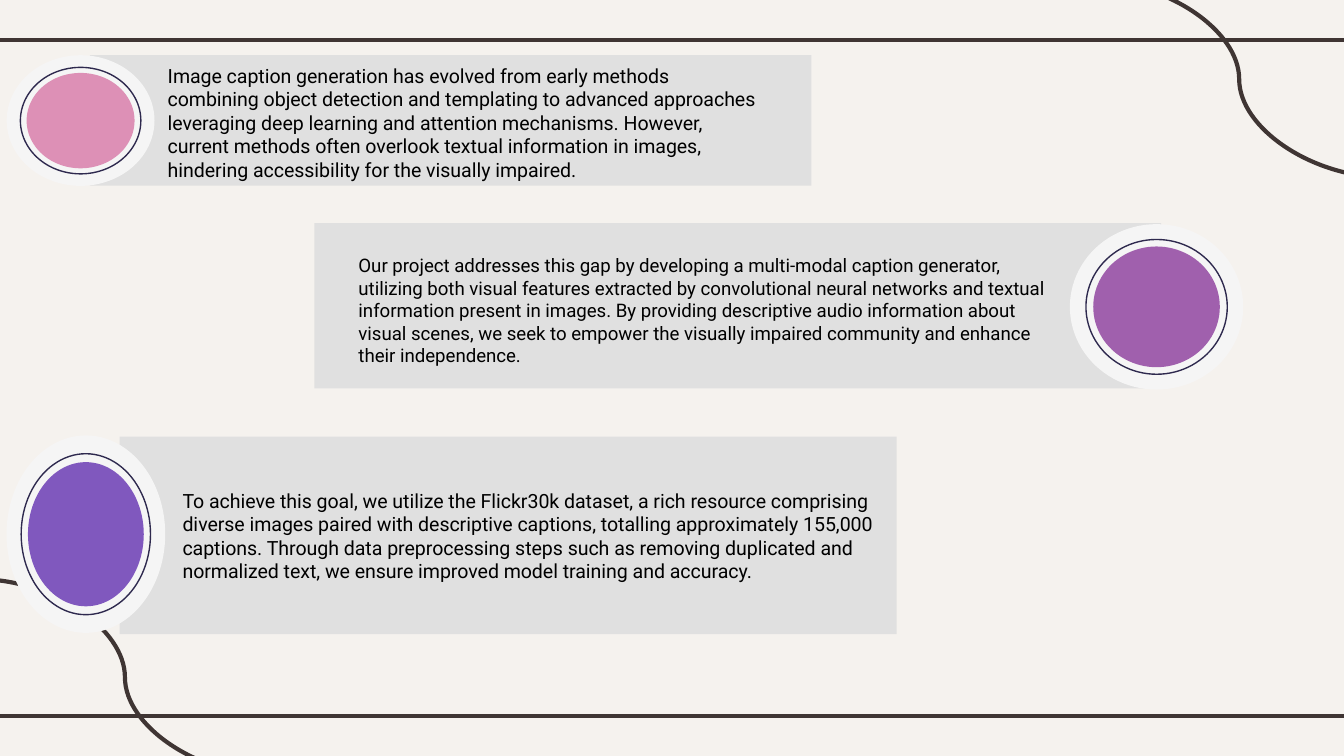
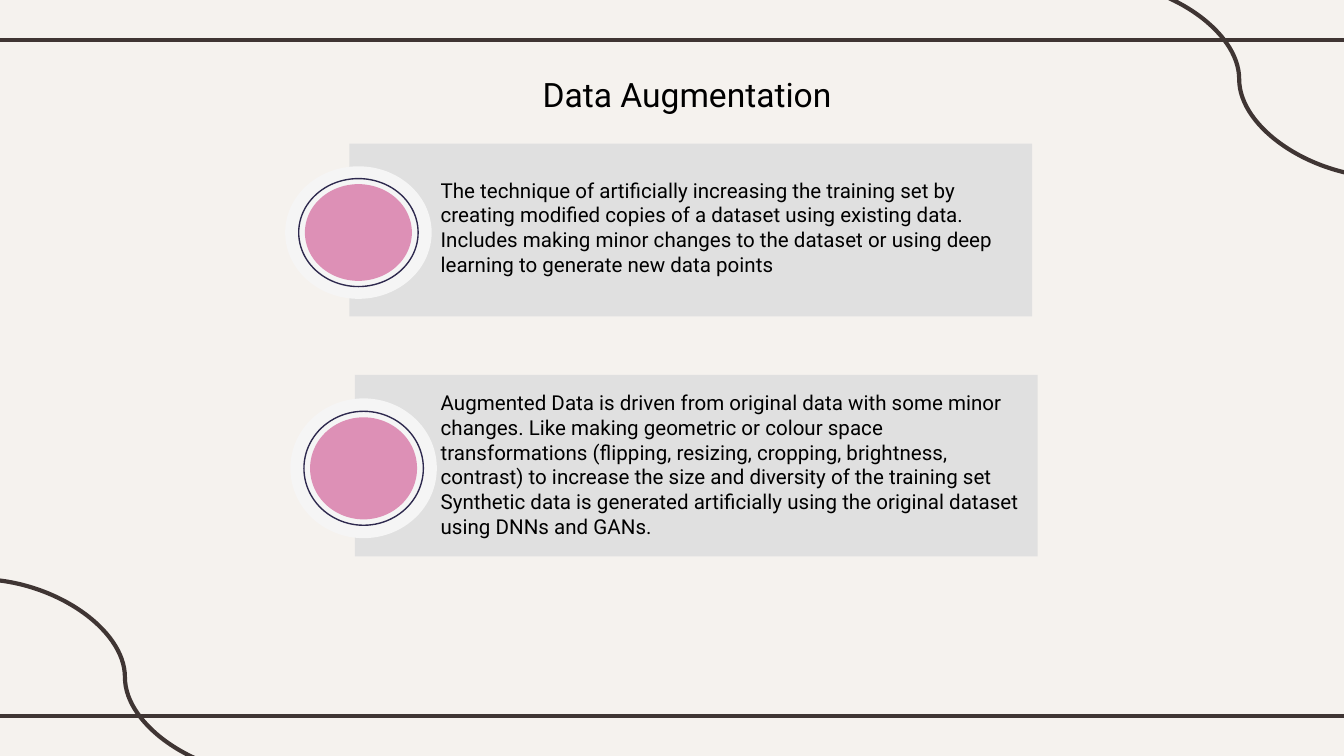
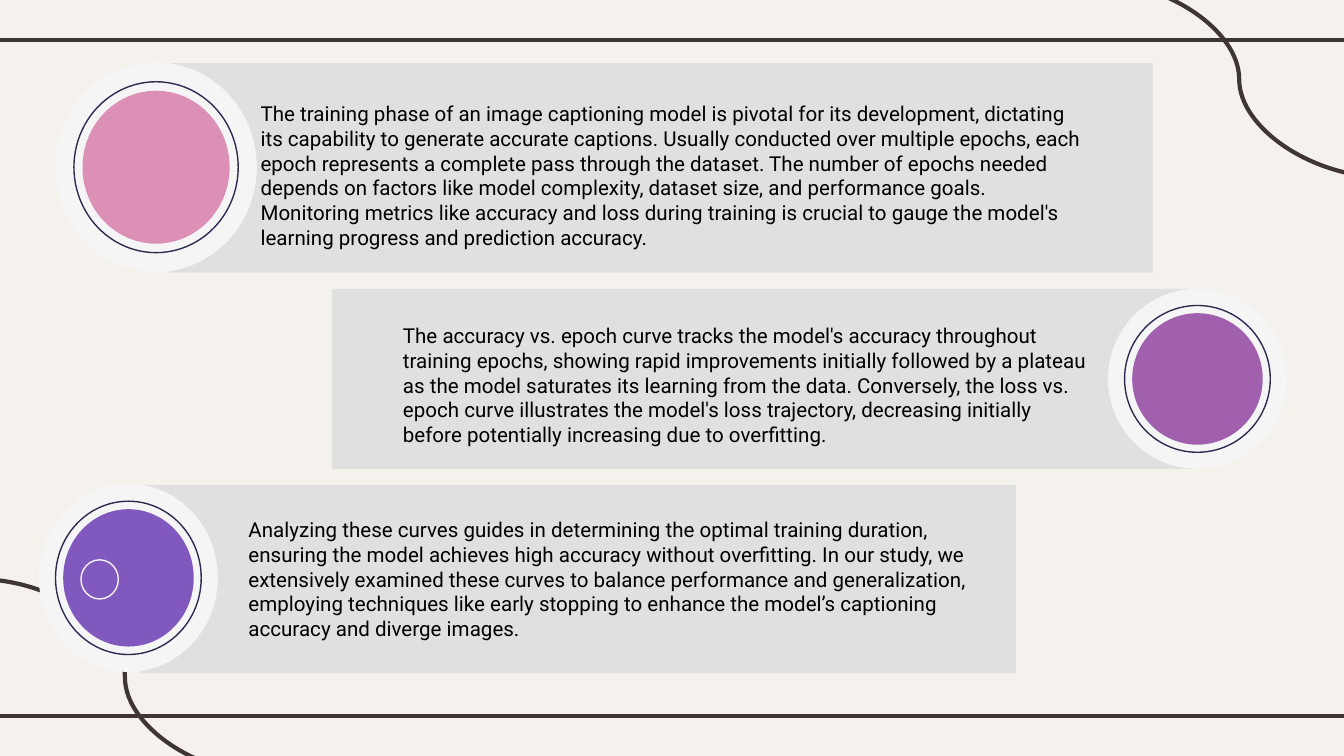
from dataclasses import dataclass
from typing import NamedTuple, Optional

import pptx
import pptx.dml.color
import pptx.enum.shapes
import pptx.enum.text
import pptx.oxml
import pptx.oxml.ns
import pptx.util

Pt = pptx.util.Pt
SHAPE = pptx.enum.shapes.MSO_SHAPE
CONNECTOR = pptx.enum.shapes.MSO_CONNECTOR
ANCHOR = pptx.enum.text.MSO_ANCHOR

COLORS = {
    "paper": "F5F2EE", "stroke": "3F3533", "card": "E0E0E0", "halo": "F5F5F5",
    "ring": "2E294E", "pink": "DD90B6", "plum": "A060AD", "violet": "8058BE",
    "text": "000000",
}
FONT = "Roboto"
INSET = 7.2
LINE_HEIGHT = 1.17
RING_RATIO = 0.815
DISC_RATIO = 0.73


class Box(NamedTuple):
    left: float
    top: float
    width: float
    height: float


class Badge(NamedTuple):
    """Concentric ovals, given by centre and outer size."""
    cx: float
    cy: float
    width: float
    height: float
    color: str

    def oval(self, ratio: float) -> Box:
        w, h = self.width * ratio, self.height * ratio
        return Box(self.cx - w / 2, self.cy - h / 2, w, h)


class Note(NamedTuple):
    """Text centred vertically on cy."""
    left: float
    cy: float
    width: float
    lines: int
    size: float
    paragraphs: tuple[str, ...]

    def box(self) -> Box:
        h = self.lines * self.size * LINE_HEIGHT + 2 * INSET
        return Box(self.left, self.cy - h / 2, self.width, h)


@dataclass
class Card:
    panel: Box
    badge: Badge
    note: Note
    dot: Optional[Box] = None


@dataclass
class Page:
    cards: list[Card]
    title: Optional[str] = None


PAGES = [
    Page([
        Card(Box(48.2, 29.5, 386.6, 70), Badge(43.2, 64.6, 79.2, 70, "pink"),
             Note(82.8, 65.6, 333.4, 5, 10.5, (
                 "Image caption generation has evolved from early methods combining object "
                 "detection and templating to advanced approaches leveraging deep learning and "
                 "attention mechanisms. However, current methods often overlook textual "
                 "information in images, hindering accessibility for the visually impaired.",))),
        Card(Box(168.5, 119.5, 453.6, 88.6), Badge(619.6, 164.4, 92.9, 88.6, "plum"),
             Note(185, 166.3, 383.8, 5, 10, (
                 "Our project addresses this gap by developing a multi-modal caption generator, "
                 "utilizing both visual features extracted by convolutional neural networks and "
                 "textual information present in images. By providing descriptive audio "
                 "information about visual scenes, we seek to empower the visually impaired "
                 "community and enhance their independence.",))),
        Card(Box(64.1, 234, 416.2, 105.8), Badge(46, 286.2, 85, 105.8, "violet"),
             Note(90.7, 286.9, 396.7, 4, 10.5, (
                 "To achieve this goal, we utilize the Flickr30k dataset, a rich resource "
                 "comprising diverse images paired with descriptive captions, totalling "
                 "approximately 155,000 captions. Through data preprocessing steps such as "
                 "removing duplicated and normalized text, we ensure improved model training "
                 "and accuracy.",))),
    ]),
    Page([
        Card(Box(187.2, 77, 365.8, 92.5), Badge(192, 124.6, 78.5, 71, "pink"),
             Note(229, 121.6, 329, 4, 11, (
                 "The technique of artificially increasing the training set by creating modified "
                 "copies of a dataset using existing data. Includes making minor changes to the "
                 "dataset or using deep learning to generate new data points",))),
        Card(Box(190.1, 200.9, 365.8, 97.2), Badge(194.8, 250.9, 78.5, 74.9, "pink"),
             Note(229, 248.8, 329, 6, 11, (
                 "Augmented Data is driven from original data with some minor changes. Like "
                 "making geometric or colour space transformations (flipping, resizing, "
                 "cropping, brightness, contrast) to increase the size and diversity of the "
                 "training set",
                 "Synthetic data is generated artificially using the original dataset using "
                 "DNNs and GANs."))),
    ], title="Data Augmentation"),
    Page([
        Card(Box(90.7, 33.8, 527, 112.3), Badge(83.6, 89.6, 108, 112.3, "pink"),
             Note(132.5, 94, 454.3, 6, 11, (
                 "The training phase of an image captioning model is pivotal for its "
                 "development, dictating its capability to generate accurate captions. Usually "
                 "conducted over multiple epochs, each epoch represents a complete pass through "
                 "the dataset. The number of epochs needed depends on factors like model "
                 "complexity, dataset size, and performance goals. Monitoring metrics like "
                 "accuracy and loss during training is crucial to gauge the model's learning "
                 "progress and prediction accuracy.",))),
        Card(Box(177.8, 154.8, 467.3, 96.5), Badge(641.5, 203, 95.8, 96.5, "plum"),
             Note(208.8, 206.3, 384.5, 5, 11, (
                 "The accuracy vs. epoch curve tracks the model's accuracy throughout training "
                 "epochs, showing rapid improvements initially followed by a plateau as the "
                 "model saturates its learning from the data. Conversely, the loss vs. epoch "
                 "curve illustrates the model's loss trajectory, decreasing initially before "
                 "potentially increasing due to overfitting.",))),
        Card(Box(75.6, 259.9, 468.7, 100.8), Badge(68.8, 309.6, 95.8, 100.8, "violet"),
             Note(126, 310.2, 401.8, 5, 11, (
                 "Analyzing these curves guides in determining the optimal training duration, "
                 "ensuring the model achieves high accuracy without overfitting. In our study, "
                 "we extensively examined these curves to balance performance and "
                 "generalization, employing techniques like early stopping to enhance the "
                 "model’s captioning accuracy and diverge images.",)),
             dot=Box(43.4, 299.9, 20, 21)),
    ]),
]

TITLE_BOX = Box(283.5, 32.4, 232, 36)

# Rules and curves shared by all slides: kind, from, to
STROKES = [
    (CONNECTOR.STRAIGHT, -5.8, 383.8, 725.8, 383.8),
    (CONNECTOR.STRAIGHT, -5.8, 21.6, 725.8, 21.6),
    (CONNECTOR.CURVE, 585.4, -10.1, 742.3, 95),
    (CONNECTOR.CURVE, -11.5, 310.3, 145.4, 415.4),
]


def rgb(name: str) -> pptx.dml.color.RGBColor:
    return pptx.dml.color.RGBColor.from_string(COLORS[name])


def pts(box: Box) -> list[pptx.util.Length]:
    return [Pt(v) for v in box]


def add_figure(shapes, kind, box: Box, fill: str = "", line: str = "") -> None:
    sp = shapes.add_shape(kind, *pts(box))
    sp.shadow.inherit = False
    if fill:
        sp.fill.solid()
        sp.fill.fore_color.rgb = rgb(fill)
    else:
        sp.fill.background()
    if line:
        sp.line.color.rgb = rgb(line)
        sp.line.width = Pt(0.75)
    else:
        sp.line.fill.background()


def write(tf, paragraphs: tuple[str, ...], size: float, anchor) -> None:
    tf.word_wrap = True
    tf.auto_size = pptx.enum.text.MSO_AUTO_SIZE.NONE
    tf.vertical_anchor = anchor
    tf.margin_left = tf.margin_right = tf.margin_top = tf.margin_bottom = Pt(INSET)
    tf.text = "\n".join(paragraphs)
    for p in tf.paragraphs:
        p.alignment = pptx.enum.text.PP_ALIGN.LEFT
        for r in p.runs:
            r.font.name = FONT
            r.font.size = Pt(size)
            r.font.color.rgb = rgb("text")


def add_card(s, card: Card) -> None:
    shapes = s.shapes.add_group_shape().shapes
    add_figure(shapes, SHAPE.RECTANGLE, card.panel, fill="card")
    add_figure(shapes, SHAPE.OVAL, card.badge.oval(1), fill="halo")
    add_figure(shapes, SHAPE.OVAL, card.badge.oval(RING_RATIO), line="ring")
    add_figure(shapes, SHAPE.OVAL, card.badge.oval(DISC_RATIO), fill=card.badge.color)
    if card.dot:
        add_figure(shapes, SHAPE.OVAL, card.dot, line="halo")
    tb = shapes.add_textbox(*pts(card.note.box()))
    write(tb.text_frame, card.note.paragraphs, card.note.size, ANCHOR.MIDDLE)


def add_title(s, text: str) -> None:
    sp = s.shapes.title
    sp.left, sp.top, sp.width, sp.height = pts(TITLE_BOX)
    write(sp.text_frame, (text,), 18, ANCHOR.TOP)


def decorate_master(prs, s) -> None:
    """Draw the strokes on a slide, then move them to the master."""
    master = prs.slide_master
    master.background.fill.solid()
    master.background.fill.fore_color.rgb = rgb("paper")
    for i, (kind, *ends) in enumerate(STROKES):
        cx = s.shapes.add_connector(kind, *[Pt(v) for v in ends])
        cx.line.color.rgb = rgb("stroke")
        cx.line.width = Pt(2.25)
        el = cx.element
        el.spPr.append(pptx.oxml.parse_xml(
            f'<a:effectLst {pptx.oxml.ns.nsdecls("a")}/>'))
        el.nvCxnSpPr.cNvPr.set("id", str(100 + i))
        master.shapes.element.append(el)


def main() -> None:
    prs = pptx.Presentation()
    prs.slide_width, prs.slide_height = Pt(720), Pt(405)
    title_only, blank = prs.slide_layouts[5], prs.slide_layouts[6]
    for page in PAGES:
        s = prs.slides.add_slide(title_only if page.title else blank)
        if page.title:
            add_title(s, page.title)
        for card in page.cards:
            add_card(s, card)
    decorate_master(prs, prs.slides[0])
    prs.save("out.pptx")


if __name__ == "__main__":
    main()
